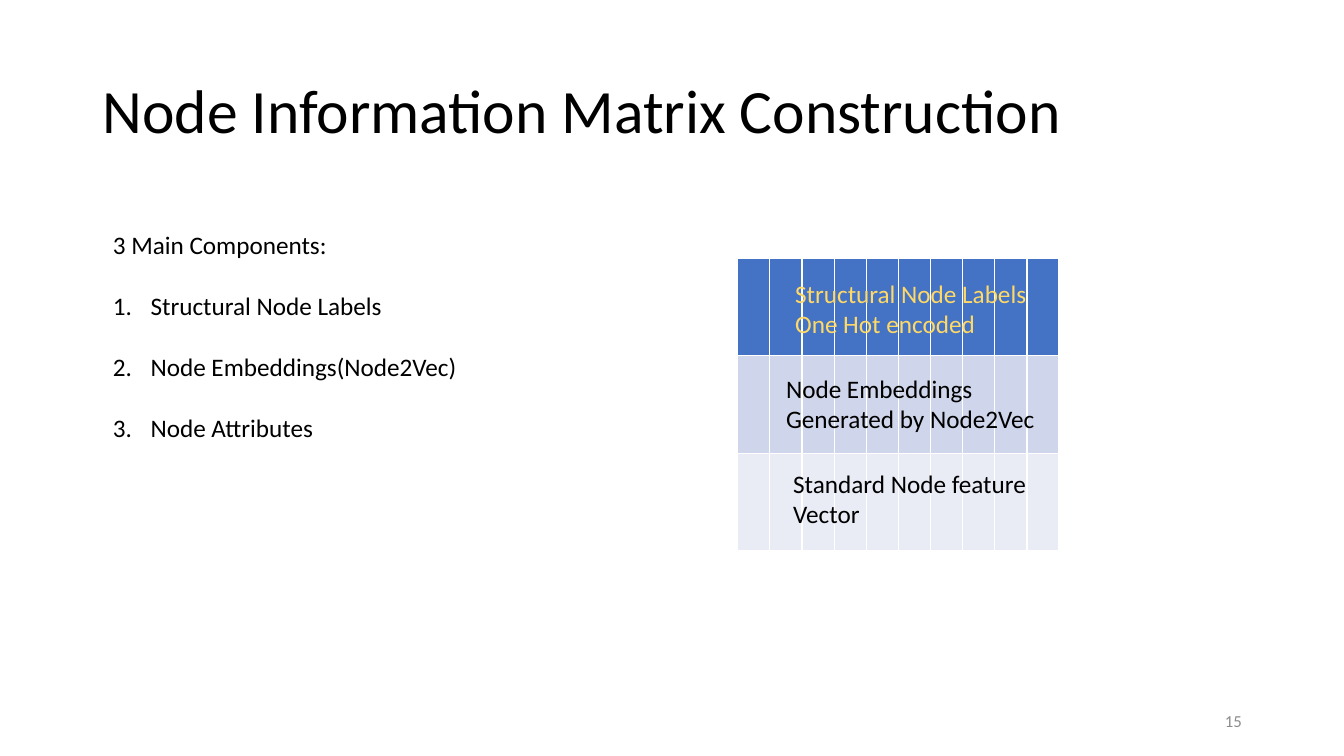
from dataclasses import dataclass

from lxml import etree
from pptx import Presentation
from pptx import util as u
from pptx.dml import color
from pptx.enum import text
from pptx.oxml import ns

FONT = "Calibri"
COLORS = {
    "black": "000000",
    "gold": "FFD966",
    "grey": "8C8C8C",
    "header": "4472C4",
    "band": "CFD5EA",
    "light": "E9EBF5",
}
COLUMN_COUNT = 10
COLUMN_WIDTH = 0.81
ROW_HEIGHT = 2.46
LABEL_TOP = 6.88
LABEL_STEP = 2.4
LABEL_HEIGHT = 1.8
COMPONENTS = ["Structural Node Labels", "Node Embeddings(Node2Vec)", "Node Attributes"]


@dataclass
class MatrixBand:
    wording: str
    left: float
    width: float
    fill: str
    font_color: str = "black"


BANDS = [
    MatrixBand("Structural Node Labels\nOne Hot encoded", 19.79, 6.4, "header", "gold"),
    MatrixBand("Node Embeddings\nGenerated by Node2Vec", 19.56, 6.86, "band"),
    MatrixBand("Standard Node feature\nVector", 19.74, 6.45, "light"),
]


def rgb(name: str) -> color.RGBColor:
    return color.RGBColor.from_string(COLORS[name])


def place(shape, left: float, top: float, width: float, height: float) -> None:
    shape.left, shape.top = u.Cm(left), u.Cm(top)
    shape.width, shape.height = u.Cm(width), u.Cm(height)


def write(shape, wording: str, size: float, color_name: str = "black") -> None:
    frame = shape.text_frame
    frame.text = wording
    frame.auto_size = text.MSO_AUTO_SIZE.NONE
    for paragraph in frame.paragraphs:
        for run in paragraph.runs:
            run.font.name = FONT
            run.font.size = u.Pt(size)
            run.font.color.rgb = rgb(color_name)


def set_marker(paragraph, numbered: bool) -> None:
    properties = paragraph._p.get_or_add_pPr()
    indent = u.Cm(0.95) if numbered else 0
    properties.set("marL", str(indent))
    properties.set("indent", str(-indent))
    if numbered:
        etree.SubElement(properties, ns.qn("a:buAutoNum"), type="arabicPeriod")
    else:
        etree.SubElement(properties, ns.qn("a:buNone"))


def add_title(slide) -> None:
    title = slide.shapes.title
    place(title, 2.33, 1.01, 29.21, 3.68)
    write(title, "Node Information Matrix Construction", 44)
    title.text_frame.vertical_anchor = text.MSO_ANCHOR.MIDDLE
    paragraph = title.text_frame.paragraphs[0]
    paragraph.alignment = text.PP_ALIGN.LEFT
    paragraph.line_spacing = 0.9


def add_components(slide) -> None:
    body = slide.placeholders[1]
    place(body, 2.59, 5.64, 9.91, 5.64)
    write(body, "\n".join(["3 Main Components:", *COMPONENTS]), 18)
    for index, paragraph in enumerate(body.text_frame.paragraphs):
        paragraph.space_before = u.Pt(0)
        paragraph.space_after = u.Pt(22)
        set_marker(paragraph, numbered=index > 0)


def add_matrix(slide) -> None:
    table = slide.shapes.add_table(
        len(BANDS), COLUMN_COUNT, u.Cm(18.59), u.Cm(6.5),
        u.Cm(COLUMN_WIDTH * COLUMN_COUNT), u.Cm(ROW_HEIGHT * len(BANDS)),
    ).table
    for column in table.columns:
        column.width = u.Cm(COLUMN_WIDTH)
    for row, band in zip(table.rows, BANDS):
        row.height = u.Cm(ROW_HEIGHT)
        for cell in row.cells:
            cell.fill.solid()
            cell.fill.fore_color.rgb = rgb(band.fill)


def add_band_label(slide, band: MatrixBand, top: float) -> None:
    label = slide.shapes.add_textbox(0, 0, 0, 0)
    place(label, band.left, top, band.width, LABEL_HEIGHT)
    write(label, band.wording, 18, band.font_color)
    label.text_frame.word_wrap = False


def add_page_number(slide) -> None:
    number = slide.shapes.add_textbox(0, 0, 0, 0)
    place(number, 23.93, 17.65, 7.62, 1.02)
    write(number, "15", 12, "grey")
    number.text_frame.word_wrap = True
    number.text_frame.vertical_anchor = text.MSO_ANCHOR.MIDDLE
    number.text_frame.paragraphs[0].alignment = text.PP_ALIGN.RIGHT


def main() -> None:
    presentation = Presentation()
    presentation.slide_width = u.Cm(33.87)
    presentation.slide_height = u.Cm(19.05)
    slide = presentation.slides.add_slide(presentation.slide_layouts[1])
    add_title(slide)
    add_components(slide)
    add_matrix(slide)
    for index, band in enumerate(BANDS):
        add_band_label(slide, band, LABEL_TOP + index * LABEL_STEP)
    add_page_number(slide)
    presentation.save("out.pptx")


if __name__ == "__main__":
    main()
